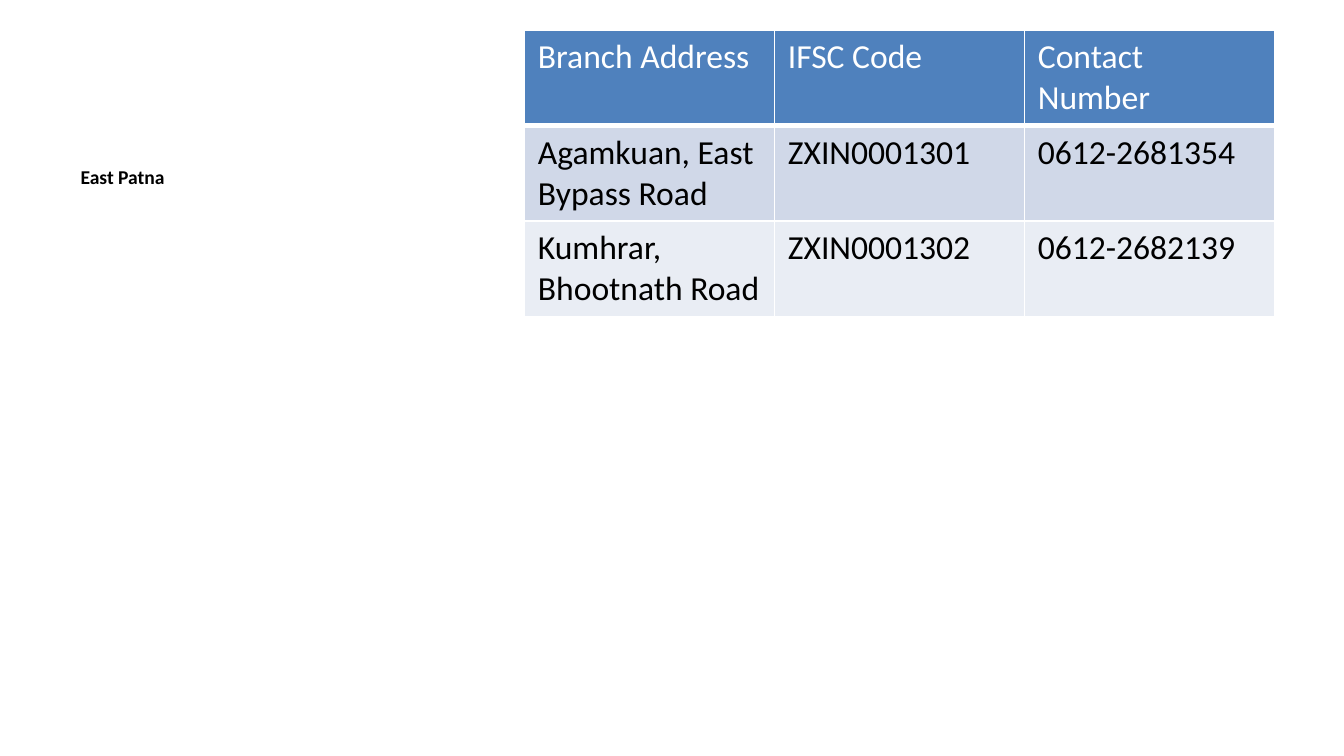
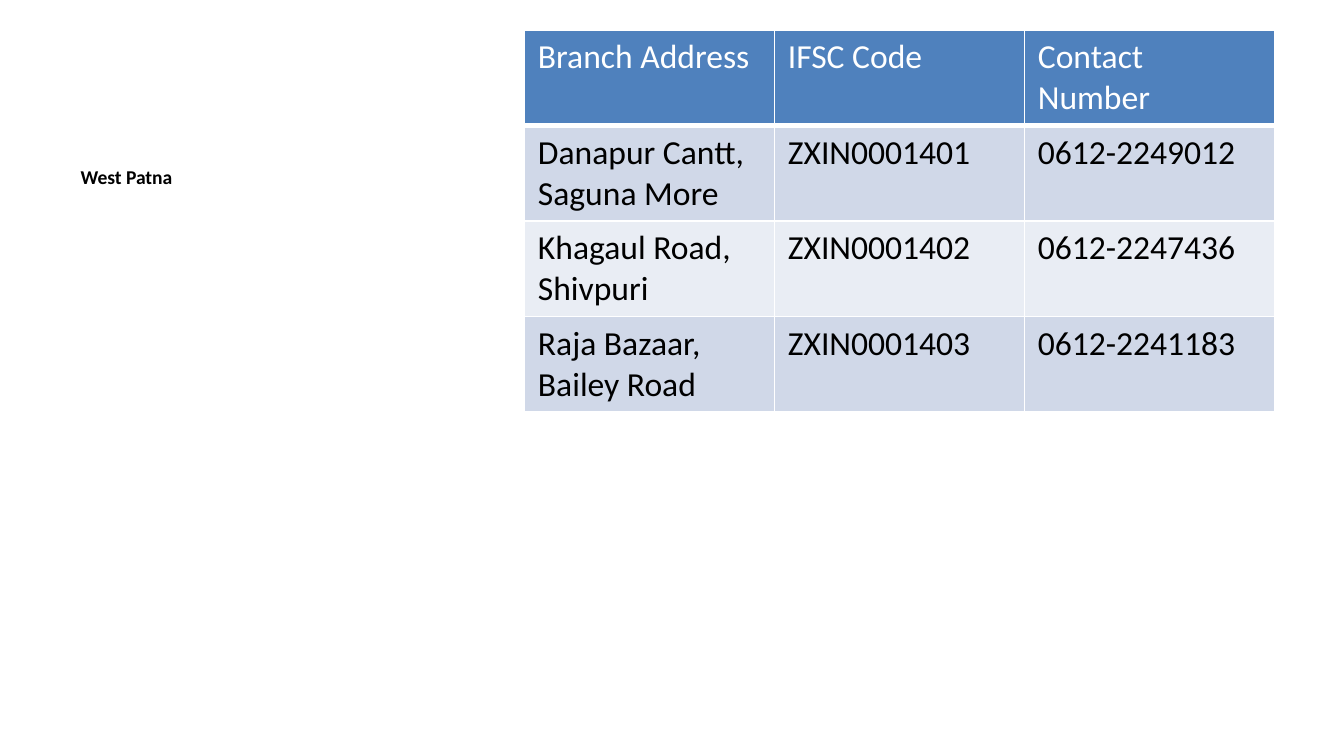
import pptx
import pptx.dml.color
import pptx.enum.text
import pptx.util
from lxml import etree
from pptx.oxml.ns import qn

Pt = pptx.util.Pt
RGBColor = pptx.dml.color.RGBColor

WHITE = RGBColor(0xFF, 0xFF, 0xFF)
BLACK = RGBColor(0x00, 0x00, 0x00)
HEADER_BLUE = RGBColor(0x4F, 0x81, 0xBD)
BAND_COLOURS = (RGBColor(0xD0, 0xD8, 0xE8), RGBColor(0xE9, 0xED, 0xF4))

FONT = "Calibri"
TITLE_ONLY = 5
COLUMN_WIDTH = 133.92
ROW_HEIGHT = 51.2

HEADINGS = ("Branch Address", "IFSC Code", "Contact Number")
REGIONS = {
    "East Patna": (
        ("Agamkuan, East Bypass Road", "ZXIN0001301", "0612-2681354"),
        ("Kumhrar, Bhootnath Road", "ZXIN0001302", "0612-2682139"),
    ),
    "West Patna": (
        ("Danapur Cantt, Saguna More", "ZXIN0001401", "0612-2249012"),
        ("Khagaul Road, Shivpuri", "ZXIN0001402", "0612-2247436"),
        ("Raja Bazaar, Bailey Road", "ZXIN0001403", "0612-2241183"),
    ),
}


def add_run(paragraph, text, size, colour, bold=False):
    run = paragraph.add_run()
    run.text = text
    run.font.name = FONT
    run.font.size = Pt(size)
    run.font.bold = bold
    run.font.color.rgb = colour


def add_region_title(slide, region):
    title = slide.shapes.title
    title.left, title.top = Pt(36), Pt(85)
    title.width, title.height = Pt(237), Pt(277)
    frame = title.text_frame
    frame.word_wrap = True
    frame.auto_size = pptx.enum.text.MSO_AUTO_SIZE.NONE
    frame.vertical_anchor = pptx.enum.text.MSO_ANCHOR.TOP
    heading = frame.paragraphs[0]
    heading.alignment = pptx.enum.text.PP_ALIGN.LEFT
    add_run(heading, region, 10.5, BLACK, bold=True)


def set_borders(cell, bottom_width):
    properties = cell._tc.get_or_add_tcPr()
    for side, width in (("L", 1), ("R", 1), ("T", 1), ("B", bottom_width)):
        line = etree.SubElement(properties, qn(f"a:ln{side}"), w=str(Pt(width)))
        fill = etree.SubElement(line, qn("a:solidFill"))
        etree.SubElement(fill, qn("a:srgbClr"), val=str(WHITE))


def fill_row(cells, texts, background, colour, bottom_width=1):
    for cell, text in zip(cells, texts):
        set_borders(cell, bottom_width)
        cell.fill.solid()
        cell.fill.fore_color.rgb = background
        add_run(cell.text_frame.paragraphs[0], text, 18, colour)


def add_branch_table(slide, branches):
    row_count = len(branches) + 1
    table = slide.shapes.add_table(
        row_count, len(HEADINGS), Pt(281), Pt(16),
        Pt(COLUMN_WIDTH * len(HEADINGS)), Pt(ROW_HEIGHT * row_count),
    ).table
    for column in table.columns:
        column.width = Pt(COLUMN_WIDTH)
    header, *body = table.rows
    fill_row(header.cells, HEADINGS, HEADER_BLUE, WHITE, bottom_width=3)
    for index, (row, branch) in enumerate(zip(body, branches)):
        fill_row(row.cells, branch, BAND_COLOURS[index % 2], BLACK)


def main():
    deck = pptx.Presentation()
    deck.slide_width, deck.slide_height = Pt(720), Pt(405)
    for region, branches in REGIONS.items():
        slide = deck.slides.add_slide(deck.slide_layouts[TITLE_ONLY])
        add_region_title(slide, region)
        add_branch_table(slide, branches)
    deck.save("out.pptx")


if __name__ == "__main__":
    main()
